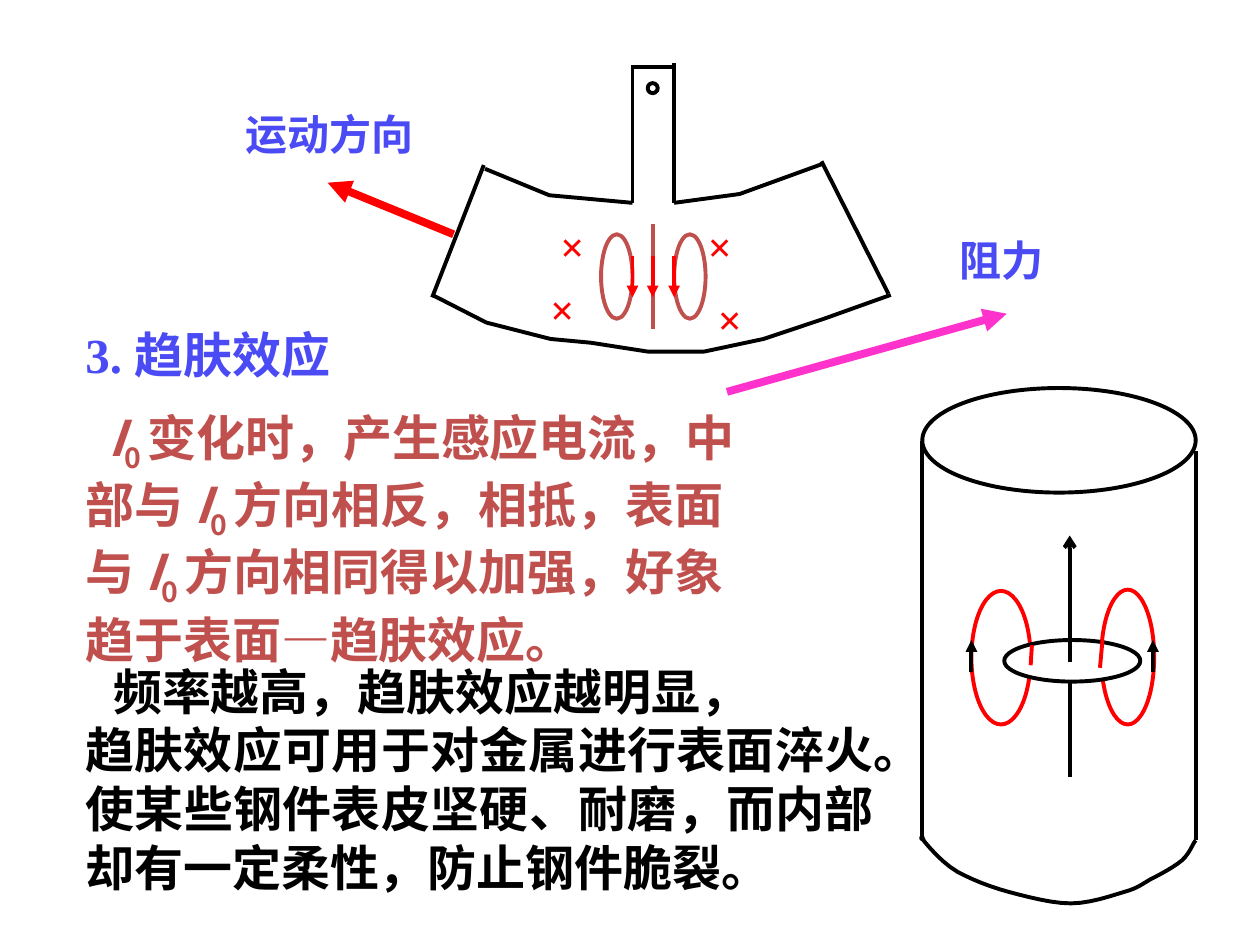
import pptx
import pptx.dml.color
import pptx.enum.shapes
import pptx.enum.text
import pptx.oxml
import pptx.oxml.ns
import pptx.util
from pptx.util import Inches

COLORS = {
    "black": "000000", "white": "FFFFFF", "red": "FF0000",
    "brick": "C0504D", "blue": "4B4BF5", "pink": "FF33CC",
}
SANS, SERIF = "Noto Sans CJK SC", "Times New Roman"
qn = pptx.oxml.ns.qn


def rgb(name):
    return pptx.dml.color.RGBColor.from_string(COLORS[name])


def set_line(item, color, width=2.25):
    item.line.color.rgb = rgb(color)
    item.line.width = pptx.util.Pt(width)


def add_line(page, start, end, color="black", width=2.25, head=None):
    line = page.shapes.add_connector(
        pptx.enum.shapes.MSO_CONNECTOR.STRAIGHT,
        *(Inches(value) for value in start + end))
    set_line(line, color, width)
    if head:
        outline = line.line._get_or_add_ln()
        outline.append(outline.makeelement(qn("a:tailEnd"), {"type": head}))
    properties = line._element.spPr
    properties.append(properties.makeelement(qn("a:effectLst"), {}))


def add_ellipse(page, left, top, width, height, color="black", fill=None):
    ellipse = page.shapes.add_shape(
        pptx.enum.shapes.MSO_SHAPE.OVAL,
        Inches(left), Inches(top), Inches(width), Inches(height))
    ellipse.shadow.inherit = False
    set_line(ellipse, color)
    if fill:
        ellipse.fill.solid()
        ellipse.fill.fore_color.rgb = rgb(fill)
    else:
        ellipse.fill.background()


def add_outline(page, points):
    corners = [(Inches(x), Inches(y)) for x, y in points]
    builder = page.shapes.build_freeform(*corners[0])
    builder.add_line_segments(corners[1:], close=False)
    outline = builder.convert_to_shape()
    outline.shadow.inherit = False
    outline.fill.background()
    set_line(outline, "black")


def curve_points(start, segments, steps=6):
    """Points along a chain of cubic curves."""
    points = [start]
    for first, second, end in segments:
        for step in range(1, steps + 1):
            t = step / steps
            weights = ((1 - t) ** 3, 3 * t * (1 - t) ** 2, 3 * t * t * (1 - t), t ** 3)
            knots = (start, first, second, end)
            points.append(tuple(sum(w * k[axis] for w, k in zip(weights, knots))
                                for axis in (0, 1)))
        start = end
    return points


def add_box(page, left, top, width, height, inset=0.05):
    box = page.shapes.add_textbox(
        Inches(left), Inches(top), Inches(width), Inches(height))
    box.text_frame.word_wrap = True
    box.text_frame.margin_top = Inches(inset)
    return box.text_frame


def add_span(para, text, size, color, font=SANS, italic=False, base=0):
    span = para.add_run()
    span.text = text
    span.font.size = pptx.util.Pt(size)
    span.font.bold = True
    span.font.italic = italic
    span.font.color.rgb = rgb(color)
    span.font.name = font
    properties = span._r.get_or_add_rPr()
    east = properties.makeelement(qn("a:ea"), {"typeface": SANS})
    properties.find(qn("a:latin")).addnext(east)
    if base:
        properties.set("baseline", str(base * 1000))


def add_para(frame, first, spacing=None, indent=0.0, justify=True):
    para = frame.paragraphs[0] if first else frame.add_paragraph()
    if justify:
        para.alignment = pptx.enum.text.PP_ALIGN.JUSTIFY
    if spacing:
        para.line_spacing = pptx.util.Pt(spacing)
    if indent:
        properties = para._p.get_or_add_pPr()
        properties.set("marL", "0")
        properties.set("indent", str(Inches(indent)))
    return para


def add_label(page, text, left, top, width, color, spacing=None):
    frame = add_box(page, left, top, width, 0.5)
    para = add_para(frame, True, spacing, justify=False)
    add_span(para, text, 24, color, SERIF)


def add_texts(page):
    # Heading
    para = add_para(add_box(page, 0.58, 2.48, 3.39, 0.57), True, 37)
    add_span(para, "3. ", 28, "blue", SERIF)
    add_span(para, "趋肤效应", 28, "blue")

    # Uses of the effect
    frame = add_box(page, 0.58, 5.15, 6.46, 1.98, inset=0.1)
    paragraphs = ("频率越高，趋肤效应越明显，",
                  "趋肤效应可用于对金属进行表面淬火。使某些钢件表皮坚硬、耐磨，"
                  "而内部却有一定柔性，防止钢件脆裂。")
    for index, text in enumerate(paragraphs):
        para = add_para(frame, index == 0, 33.5, 0 if index else 0.22)
        add_span(para, text, 28, "black")

    # Explanation with the current symbol in each line
    frame = add_box(page, 0.58, 3.15, 5.83, 1.97, inset=0.08)
    lines = (("", "变化时，产生感应电流，中"),
             ("部与 ", "方向相反，相抵，表面"),
             ("与 ", "方向相同得以加强，好象"))
    for index, (before, after) in enumerate(lines):
        para = add_para(frame, index == 0, 38.3, 0 if index else 0.18)
        if before:
            add_span(para, before, 28, "brick")
        add_span(para, "I", 28, "brick", italic=True)
        add_span(para, "0 ", 28, "brick", base=-25)
        add_span(para, after, 28, "brick")
    para = add_para(frame, False, 34.6)
    for text, font in (("趋于表面", SANS), ("—", SERIF), ("趋肤效应。", SANS)):
        add_span(para, text, 28, "brick", font)


def add_cylinder(page):
    # Body
    add_ellipse(page, 7.32, 3.08, 2.17, 0.83)
    add_line(page, (7.32, 3.5), (7.32, 6.67))
    add_line(page, (9.49, 3.58), (9.49, 6.67))
    add_outline(page, curve_points((9.49, 6.67), (
        ((9.47, 6.69), (9.44, 6.78), (9.38, 6.83)),
        ((9.32, 6.88), (9.21, 6.94), (9.13, 6.98)),
        ((9.06, 7.02), (9.03, 7.05), (8.92, 7.08)),
        ((8.82, 7.11), (8.65, 7.17), (8.5, 7.17)),
        ((8.35, 7.17), (8.16, 7.12), (8.01, 7.08)),
        ((7.86, 7.04), (7.71, 6.98), (7.6, 6.92)),
        ((7.48, 6.85), (7.37, 6.72), (7.33, 6.67)),
        ((7.28, 6.63), (7.34, 6.66), (7.34, 6.65)))))

    # Current axis and loops
    add_line(page, (8.49, 5.42), (8.49, 6.17))
    add_ellipse(page, 7.71, 4.69, 0.47, 1.06, "red", "white")
    add_ellipse(page, 8.74, 4.68, 0.42, 1.07, "red", "white")
    add_ellipse(page, 7.97, 5.08, 1.08, 0.33, "black", "white")
    add_line(page, (8.19, 5.12), (8.18, 5.28), "red")
    add_line(page, (8.75, 5.08), (8.73, 5.3), "red")
    for x in (7.71, 9.15):
        add_line(page, (x, 5.33), (x, 5.08), head="triangle")
    add_line(page, (8.49, 5.25), (8.49, 4.25), head="arrow")


def add_pendulum(page):
    # Rod and plate
    add_line(page, (5.02, 0.52), (5.02, 1.61))
    add_line(page, (5.35, 0.5), (5.35, 1.61))
    add_line(page, (5.02, 0.53), (5.35, 0.53))
    add_outline(page, [(5.35, 1.61), (5.87, 1.54), (6.53, 1.3)])
    add_outline(page, [(5.02, 1.61), (4.36, 1.55), (3.85, 1.34)])
    add_outline(page, [(3.43, 2.34), (3.86, 2.56), (4.37, 2.69), (4.69, 2.72),
                       (5.14, 2.79), (5.59, 2.79), (6.06, 2.69), (6.54, 2.53),
                       (7.07, 2.34)])
    add_line(page, (3.84, 1.31), (3.43, 2.36))
    add_line(page, (6.52, 1.28), (7.05, 2.33))

    # Field marks and eddy currents
    for left, top in ((4.35, 1.7), (4.27, 2.2), (5.52, 1.7), (5.6, 2.28)):
        add_label(page, "×", left, top, 0.5, "red")
    add_line(page, (5.18, 1.78), (5.18, 2.61), "brick")
    for left in (5.35, 4.77):
        add_ellipse(page, left, 1.86, 0.25, 0.67, "brick")
    for x in (5.18, 5.02, 5.35):
        add_line(page, (x, 2.03), (x, 2.36), "red", head="triangle")

    # Motion and drag
    add_line(page, (3.6, 1.86), (2.6, 1.45), "red", 4.5, "triangle")
    add_line(page, (5.77, 3.11), (7.99, 2.49), "pink", 4.5, "triangle")
    add_label(page, "运动方向", 1.85, 0.78, 1.83, "blue", 31)
    add_label(page, "阻力", 7.52, 1.78, 1.08, "blue", 31)
    add_ellipse(page, 5.14, 0.66, 0.08, 0.08)


def main():
    deck = pptx.Presentation()
    deck.slide_width, deck.slide_height = Inches(10), Inches(7.5)
    page = deck.slides.add_slide(deck.slide_layouts[6])
    add_texts(page)
    add_cylinder(page)
    add_pendulum(page)
    deck.save("out.pptx")


main()
